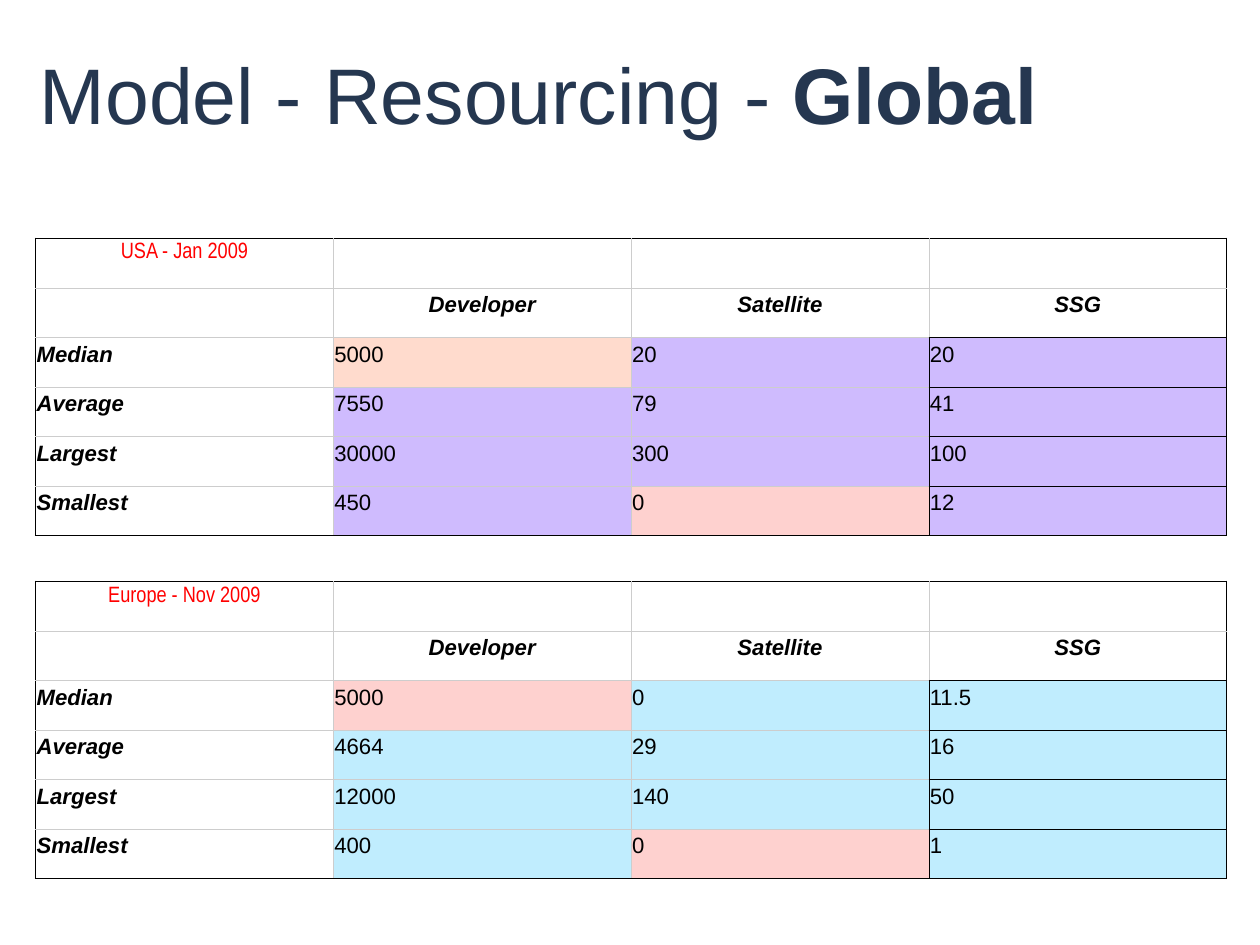
from dataclasses import dataclass

from lxml import etree
from pptx import Presentation
from pptx.dml.color import RGBColor
from pptx.enum.text import MSO_ANCHOR, PP_ALIGN
from pptx.oxml.ns import qn
from pptx.util import Cm, Pt

CENTER, LEFT = PP_ALIGN.CENTER, PP_ALIGN.LEFT
MIDDLE, TOP = MSO_ANCHOR.MIDDLE, MSO_ANCHOR.TOP


@dataclass(frozen=True)
class Theme:
    title: str = "253750"
    region: str = "FF0000"
    ink: str = "000000"
    grid: str = "CDCDCD"
    paper: str = "FFFFFF"
    purple: str = "CFBBFE"
    blue: str = "C0EDFE"
    peach: str = "FFDBCD"
    pink: str = "FED1CF"
    title_size: int = 64
    table_size: int = 18
    font: str = "Arial"
    narrow_font: str = "Arial Narrow"
    frame_width: float = 1.47


THEME = Theme()


def style_font(font, color, **formats):
    for attribute, value in formats.items():
        setattr(font, attribute, value)
    font.color.rgb = RGBColor.from_string(color)


def add_border(cell, side, color, width):
    """Draw one cell edge; side is L, R, T or B, added in that order before the fill."""
    line = etree.SubElement(cell._tc.get_or_add_tcPr(), qn(f"a:ln{side}"), w=str(Pt(width)))
    solid = etree.SubElement(line, qn("a:solidFill"))
    etree.SubElement(solid, qn("a:srgbClr"), val=color)


MEASURES = ["Developer", "Satellite", "SSG"]
REGIONS = [
    {
        "name": "USA - Jan 2009", "top": 6.83, "grid_width": 0.11, "fill": THEME.purple,
        "highlights": {(2, 1): THEME.peach, (5, 2): THEME.pink},
        "values": [
            ["Median", "5000", "20", "20"],
            ["Average", "7550", "79", "41"],
            ["Largest", "30000", "300", "100"],
            ["Smallest", "450", "0", "12"],
        ],
    },
    {
        "name": "Europe - Nov 2009", "top": 16.66, "grid_width": 0.45, "fill": THEME.blue,
        "highlights": {(2, 1): THEME.pink, (5, 2): THEME.pink},
        "values": [
            ["Median", "5000", "0", "11.5"],
            ["Average", "4664", "29", "16"],
            ["Largest", "12000", "140", "50"],
            ["Smallest", "400", "0", "1"],
        ],
    },
]
CELL_MARGINS = {
    "margin_left": Cm(0.03), "margin_right": Cm(0.03),
    "margin_top": Cm(0.13), "margin_bottom": Cm(0.13),
    "vertical_anchor": TOP,
}

presentation = Presentation()
presentation.slide_width, presentation.slide_height = Cm(36.12), Cm(27.08)
slide = presentation.slides.add_slide(presentation.slide_layouts[6])

# Title
title = slide.shapes.add_textbox(Cm(0.99), Cm(0), Cm(34.14), Cm(5.69)).text_frame
title_format = {"word_wrap": True, "vertical_anchor": MIDDLE}
title_format |= {f"margin_{side}": Cm(0.15) for side in ("left", "right", "top", "bottom")}
for attribute, value in title_format.items():
    setattr(title, attribute, value)
heading = title.paragraphs[0]
heading.line_spacing = 0.9
for words, bold in [("Model - Resourcing - ", False), ("Global", True)]:
    run = heading.add_run()
    run.text = words
    style_font(run.font, THEME.title, name=THEME.font, size=Pt(THEME.title_size), bold=bold)

# One table for each region
for region in REGIONS:
    rows = [[region["name"], "", "", ""], ["", *MEASURES], *region["values"]]
    last_row, last_column = len(rows) - 1, len(MEASURES)
    table = slide.shapes.add_table(
        len(rows), last_column + 1, Cm(1.02), Cm(region["top"]), Cm(34.14), Cm(8.52)
    ).table
    table.first_row = table.horz_banding = False

    frame = (THEME.ink, THEME.frame_width)
    ssg_line = (THEME.ink, region["grid_width"])
    grid_line = (THEME.grid, region["grid_width"])

    for r, row in enumerate(rows):
        for c, text in enumerate(row):
            cell = table.cell(r, c)
            for attribute, value in CELL_MARGINS.items():
                setattr(cell, attribute, value)

            is_value = r >= 2 and c >= 1
            is_ssg = is_value and c == last_column
            beside_ssg = r >= 2 and c == last_column - 1
            above_ssg = r == 1 and c == last_column
            edges = {
                "L": (c == 0, is_ssg),
                "R": (c == last_column, beside_ssg),
                "T": (r == 0, is_ssg),
                "B": (r == last_row, is_ssg or above_ssg),
            }
            for side, (on_frame, on_ssg) in edges.items():
                line = frame if on_frame else ssg_line if on_ssg else grid_line
                add_border(cell, side, *line)

            cell.fill.solid()
            value_fill = region["highlights"].get((r, c), region["fill"])
            cell.fill.fore_color.rgb = RGBColor.from_string(value_fill if is_value else THEME.paper)

            is_region = r == 0
            paragraph = cell.text_frame.paragraphs[0]
            paragraph.alignment = CENTER if r < 2 else LEFT
            if text:
                run = paragraph.add_run()
                run.text = text
                style_font(
                    run.font,
                    THEME.region if is_region else THEME.ink,
                    name=THEME.narrow_font if is_region else THEME.font,
                    size=Pt(THEME.table_size),
                    bold=not (is_region or is_value),
                    italic=not (is_region or is_value),
                )

presentation.save("out.pptx")
